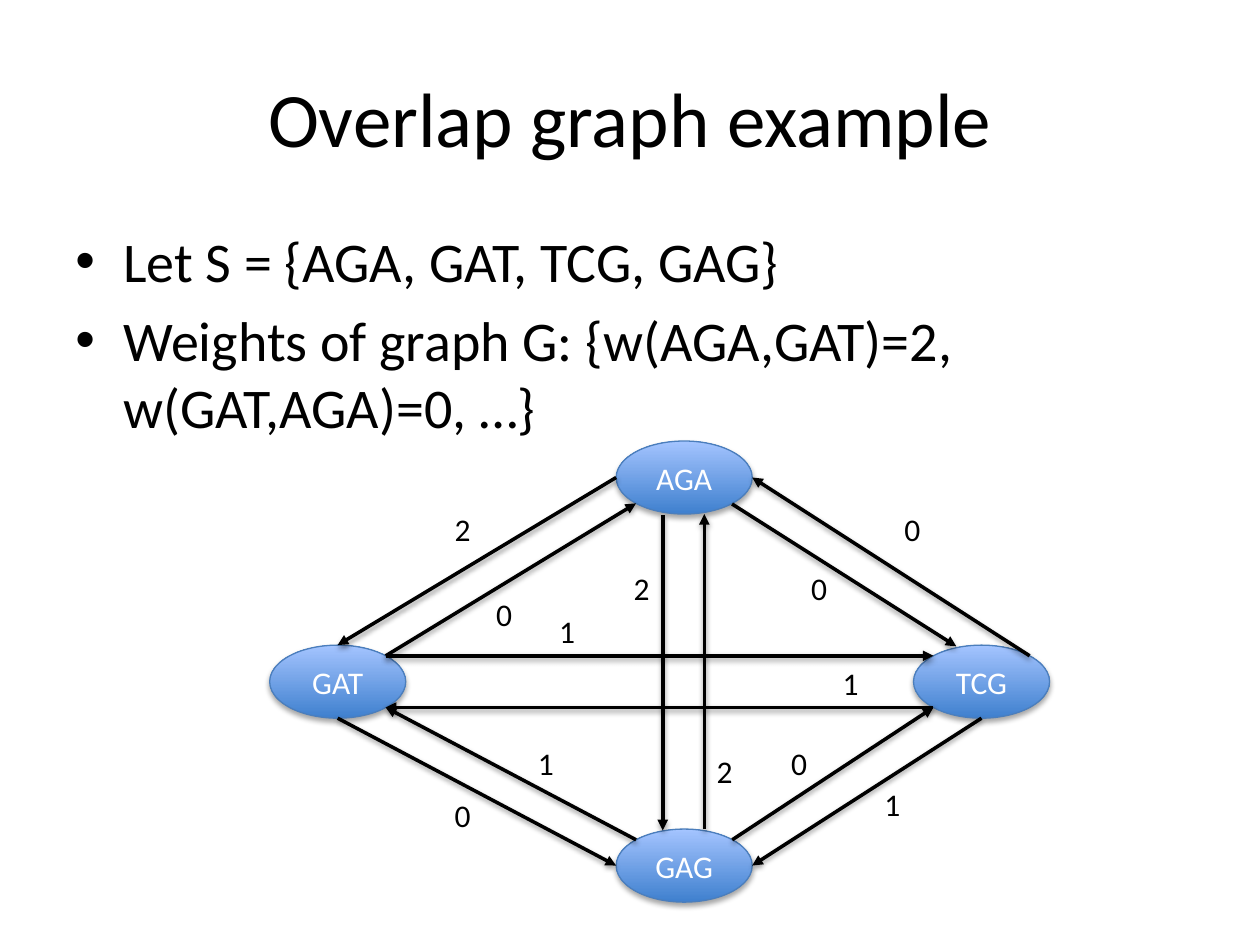
from lxml import etree
from pptx import Presentation
from pptx.dml.color import RGBColor
from pptx.enum.shapes import MSO_CONNECTOR, MSO_SHAPE
from pptx.enum.text import MSO_ANCHOR, PP_ALIGN
from pptx.oxml.ns import qn
from pptx.util import Inches, Pt

OVAL = MSO_SHAPE.OVAL
STRAIGHT = MSO_CONNECTOR.STRAIGHT
TOP, MIDDLE = MSO_ANCHOR.TOP, MSO_ANCHOR.MIDDLE
LEFT, CENTER = PP_ALIGN.LEFT, PP_ALIGN.CENTER

NODE_WIDTH, NODE_HEIGHT = 1.08, 0.58
DIAGONAL = 0.707
SITES = {
    "top": (0, -1), "bottom": (0, 1), "left": (-1, 0), "right": (1, 0),
    "top left": (-DIAGONAL, -DIAGONAL), "top right": (DIAGONAL, -DIAGONAL),
    "bottom left": (-DIAGONAL, DIAGONAL), "bottom right": (DIAGONAL, DIAGONAL),
}
NODES = {"AGA": (5.43, 3.79), "GAT": (2.68, 5.41), "TCG": (7.79, 5.41), "GAG": (5.43, 6.87)}
EDGES = [
    ("AGA", "left", "GAT", "top"),
    ("GAT", "top right", "AGA", "bottom left"),
    ("TCG", "top right", "AGA", "right"),
    ("GAT", "bottom", "GAG", "left"),
    ("GAG", "top left", "GAT", "bottom right"),
    ("GAG", "top right", "TCG", "bottom left"),
    ("TCG", "bottom", "GAG", "right"),
    ("GAT", "top right", "TCG", "top left"),
    ("TCG", "bottom left", "GAT", "bottom right"),
]
FREE_ARROWS = [
    ((5.26, 4.09), (5.26, 6.59)),
    ((5.59, 6.58), (5.59, 4.08)),
    ((5.81, 4), (7.59, 5.13)),
]
WEIGHTS = [
    ("2", 4.93, 4.47), ("2", 5.59, 5.92), ("0", 7.08, 4), ("0", 6.34, 4.47),
    ("1", 6.92, 6.18), ("0", 6.18, 5.86), ("0", 3.51, 6.27), ("1", 4.17, 5.86),
    ("1", 4.34, 4.81), ("2", 3.51, 4), ("0", 3.84, 4.67), ("1", 6.59, 5.22),
]


def color(value):
    """Turn a hex string into a colour."""
    return RGBColor.from_string(value)


def add_shadow(shape, opacity, distance):
    """Give a shape or connector a soft shadow straight below it."""
    effects = etree.SubElement(shape._element.spPr, qn("a:effectLst"))
    shadow = etree.SubElement(
        effects, qn("a:outerShdw"), blurRad=str(Pt(3.1)), dist=str(Pt(distance)),
        dir="5400000", rotWithShape="0")
    black = etree.SubElement(shadow, qn("a:srgbClr"), val="000000")
    etree.SubElement(black, qn("a:alpha"), val=str(opacity * 1000))


def add_bullet(paragraph, indent):
    """Give a paragraph a round bullet with a hanging indent."""
    properties = paragraph._p.get_or_add_pPr()
    properties.set("marL", str(Inches(indent)))
    properties.set("indent", str(-Inches(indent)))
    etree.SubElement(properties, qn("a:buFont"), typeface="Arial")
    etree.SubElement(properties, qn("a:buChar"), char="•")


def write(frame, *texts, size=18, font="Calibri", ink="000000", align=LEFT,
          anchor=TOP, wrap=True, bullet_indent=None, gap=0):
    """Fill a text frame with one paragraph for each text."""
    frame.word_wrap = wrap
    frame.vertical_anchor = anchor
    for index, text in enumerate(texts):
        paragraph = frame.add_paragraph() if index else frame.paragraphs[0]
        paragraph.alignment = align
        if index:
            paragraph.space_before = Pt(gap)
        if bullet_indent:
            add_bullet(paragraph, bullet_indent)
        run = paragraph.add_run()
        run.text = text
        run.font.size = Pt(size)
        run.font.name = font
        run.font.color.rgb = color(ink)


def site(node, side):
    """Find a point on the rim of a node."""
    (x, y), (across, down) = NODES[node], SITES[side]
    return x + across * NODE_WIDTH / 2, y + down * NODE_HEIGHT / 2


class GraphSlide:
    """Holds the graph style and the slide it is drawn on."""

    ink = "000000"
    node_ink = "FFFFFF"
    node_outline = "4B7EBC"
    node_gradient = ("3F80CE", "A4C4FF")

    def __init__(self, slide):
        """Keep the slide to draw on."""
        self.shapes = slide.shapes

    def text(self, left, top, width, height, *texts, **style):
        """Add a text box."""
        box = self.shapes.add_textbox(*map(Inches, (left, top, width, height)))
        write(box.text_frame, *texts, ink=self.ink, **style)

    def node(self, name):
        """Add a named oval with a gradient."""
        x, y = NODES[name]
        oval = self.shapes.add_shape(
            OVAL, Inches(x - NODE_WIDTH / 2), Inches(y - NODE_HEIGHT / 2),
            Inches(NODE_WIDTH), Inches(NODE_HEIGHT))
        oval.fill.gradient()
        oval.fill.gradient_angle = 90
        for position, (stop, value) in enumerate(zip(oval.fill.gradient_stops, self.node_gradient)):
            stop.position = position
            stop.color.rgb = color(value)
        oval.line.color.rgb = color(self.node_outline)
        oval.line.width = Pt(0.75)
        add_shadow(oval, 35, 1.8)
        write(oval.text_frame, name, ink=self.node_ink, align=CENTER, anchor=MIDDLE)

    def arrow(self, start, end):
        """Add an arrow between two points."""
        connector = self.shapes.add_connector(STRAIGHT, *map(Inches, (*start, *end)))
        connector.line.color.rgb = color(self.ink)
        connector.line.width = Pt(2)
        etree.SubElement(connector.line._get_or_add_ln(), qn("a:tailEnd"), type="triangle")
        add_shadow(connector, 38, 1.6)


def main():
    """Build the overlap graph slide."""
    presentation = Presentation()
    presentation.slide_width, presentation.slide_height = Inches(10), Inches(7.5)
    graph = GraphSlide(presentation.slides.add_slide(presentation.slide_layouts[6]))
    graph.text(0.5, 0.3, 9, 1.25, "Overlap graph example", size=44, align=CENTER, anchor=MIDDLE)
    graph.text(0.5, 1.75, 9.25, 1.5, "Let S = {AGA, GAT, TCG, GAG}",
               "Weights of graph G: {w(AGA,GAT)=2, w(GAT,AGA)=0, …}",
               size=32, bullet_indent=0.38, gap=6.4)
    for name in NODES:
        graph.node(name)
    for source, source_side, target, target_side in EDGES:
        graph.arrow(site(source, source_side), site(target, target_side))
    for start, end in FREE_ARROWS:
        graph.arrow(start, end)
    for weight, left, top in WEIGHTS:
        graph.text(left, top, 0.33, 0.4, weight, wrap=False)
    presentation.save("out.pptx")


if __name__ == "__main__":
    main()
